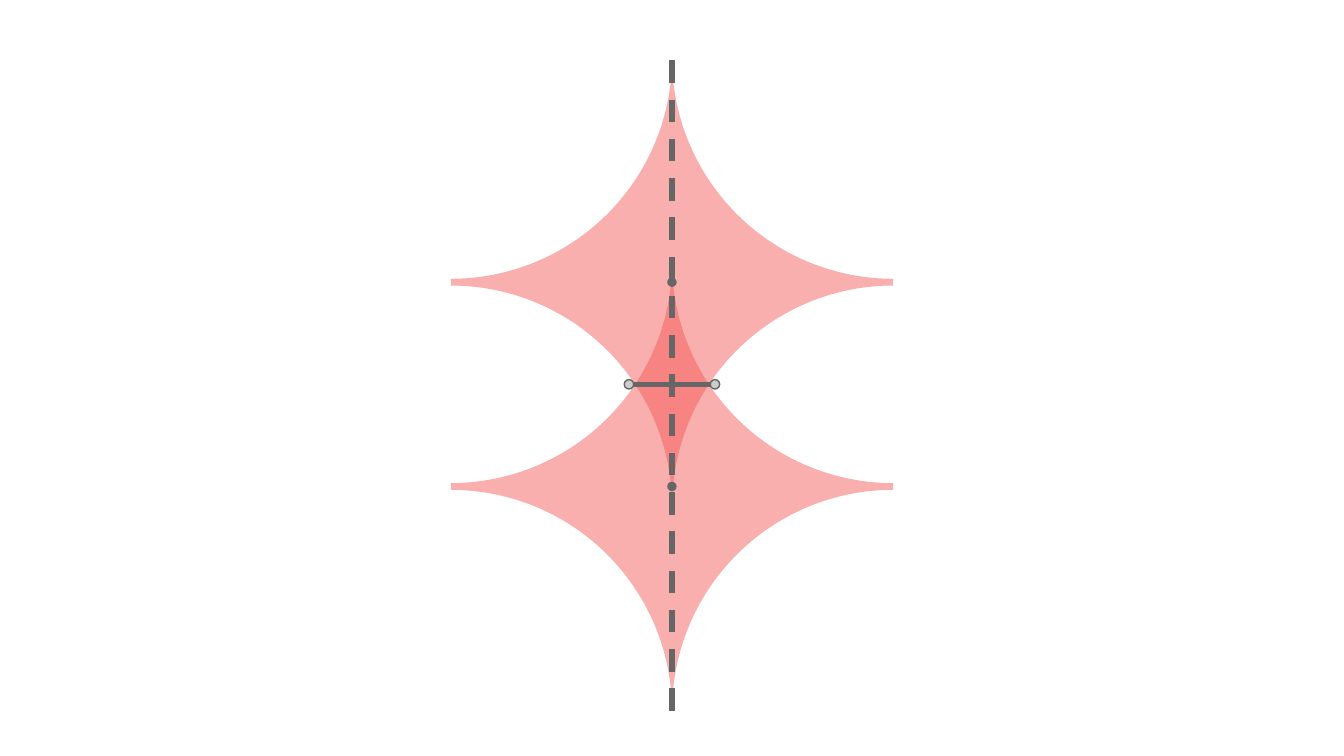
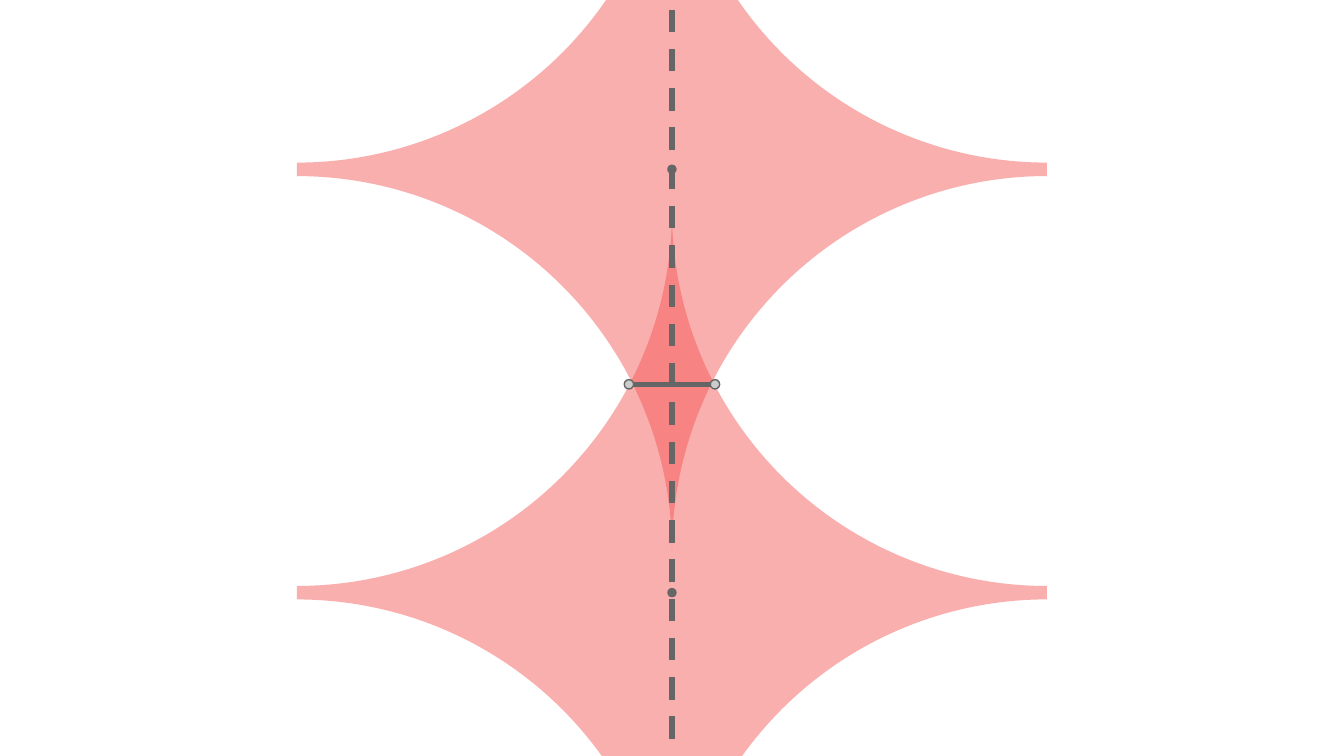
from dataclasses import dataclass

from lxml.etree import SubElement
from pptx import Presentation
from pptx.dml.color import RGBColor
from pptx.enum.dml import MSO_LINE_DASH_STYLE as Dash
from pptx.enum.shapes import MSO_CONNECTOR as Connector, MSO_SHAPE as Shape
from pptx.oxml.ns import qn
from pptx.util import Inches, Pt


@dataclass(frozen=True)
class Theme:
    star: str = "F44E4E"
    ink: str = "666666"
    handle: str = "CCCCCC"
    star_opacity: int = 45
    outline: float = 0.75
    stroke: float = 3


THEME = Theme()
WIDTH = 10
HEIGHT = WIDTH * 9 / 16
CENTER_X = WIDTH / 2
WAIST_Y = 2.86
HANDLE_OFFSET = 0.32
HANDLE_SIZE = 0.07
PIVOT_SIZE = 0.06

STAR_PAIRS = [
    {"size": (3.29, 3.34), "centers": (2.1, 3.62)},
    {"size": (5.58, 5.68), "centers": (1.26, 4.41)},
]


class SlideBuilder:
    def __init__(self, presentation, theme):
        self.presentation = presentation
        self.theme = theme
        self.slide = None

    def new_slide(self):
        self.slide = self.presentation.slides.add_slide(self.presentation.slide_layouts[6])

    def format_line(self, line, **values):
        line.color.rgb = RGBColor.from_string(self.theme.ink)
        for name, value in values.items():
            setattr(line, name, value)

    def centered_shape(self, shapes, kind, x, y, width, height, color):
        shape = shapes.add_shape(
            kind, Inches(x - width / 2), Inches(y - height / 2), Inches(width), Inches(height)
        )
        shape.shadow.inherit = False
        shape.fill.solid()
        shape.fill.fore_color.rgb = RGBColor.from_string(color)
        return shape

    def star(self, y, size):
        shape = self.centered_shape(
            self.slide.shapes, Shape.PLAQUE, CENTER_X, y, *size, self.theme.star
        )
        shape.adjustments[0] = 0.5
        shape.line.fill.background()
        color = shape.fill._xPr.find(f".//{qn('a:srgbClr')}")
        SubElement(color, qn("a:alpha"), val=str(self.theme.star_opacity * 1000))

    def dot(self, shapes, x, y, size, color):
        shape = self.centered_shape(shapes, Shape.OVAL, x, y, size, size, color)
        self.format_line(shape.line, width=Pt(self.theme.outline))

    def line(self, start, end, **values):
        connector = self.slide.shapes.add_connector(
            Connector.STRAIGHT, *(Inches(value) for value in (*start, *end))
        )
        self.format_line(connector.line, width=Pt(self.theme.stroke), **values)
        SubElement(connector._element.spPr, qn("a:effectLst"))

    def waist(self):
        group = self.slide.shapes.add_group_shape()
        for side in (-1, 1):
            x = CENTER_X + side * HANDLE_OFFSET
            self.dot(group.shapes, x, WAIST_Y, HANDLE_SIZE, self.theme.handle)
        reach = HANDLE_OFFSET - HANDLE_SIZE / 2
        self.line((CENTER_X - reach, WAIST_Y), (CENTER_X + reach, WAIST_Y))

    def star_pair(self, size, centers):
        upper, lower = centers
        half = size[1] / 2
        for y in (lower, upper):
            self.star(y, size)
        self.waist()
        self.line(
            (CENTER_X, lower + half), (CENTER_X, upper - half), dash_style=Dash.DASH
        )
        for y in centers:
            self.dot(self.slide.shapes, CENTER_X, y, PIVOT_SIZE, self.theme.ink)


def main():
    presentation = Presentation()
    presentation.slide_width = Inches(WIDTH)
    presentation.slide_height = Inches(HEIGHT)
    builder = SlideBuilder(presentation, THEME)
    for pair in STAR_PAIRS:
        builder.new_slide()
        builder.star_pair(**pair)
    presentation.save("out.pptx")


if __name__ == "__main__":
    main()
